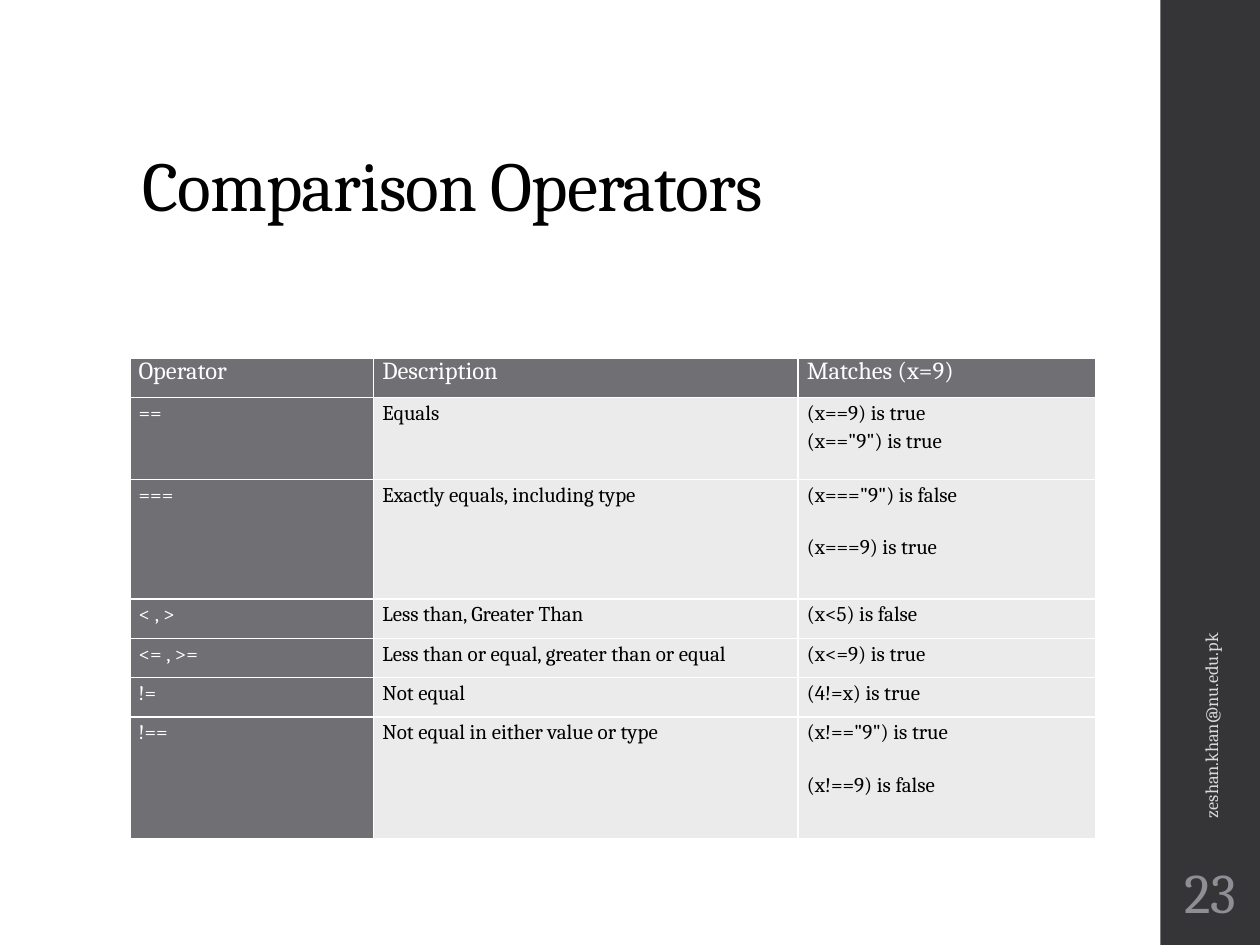
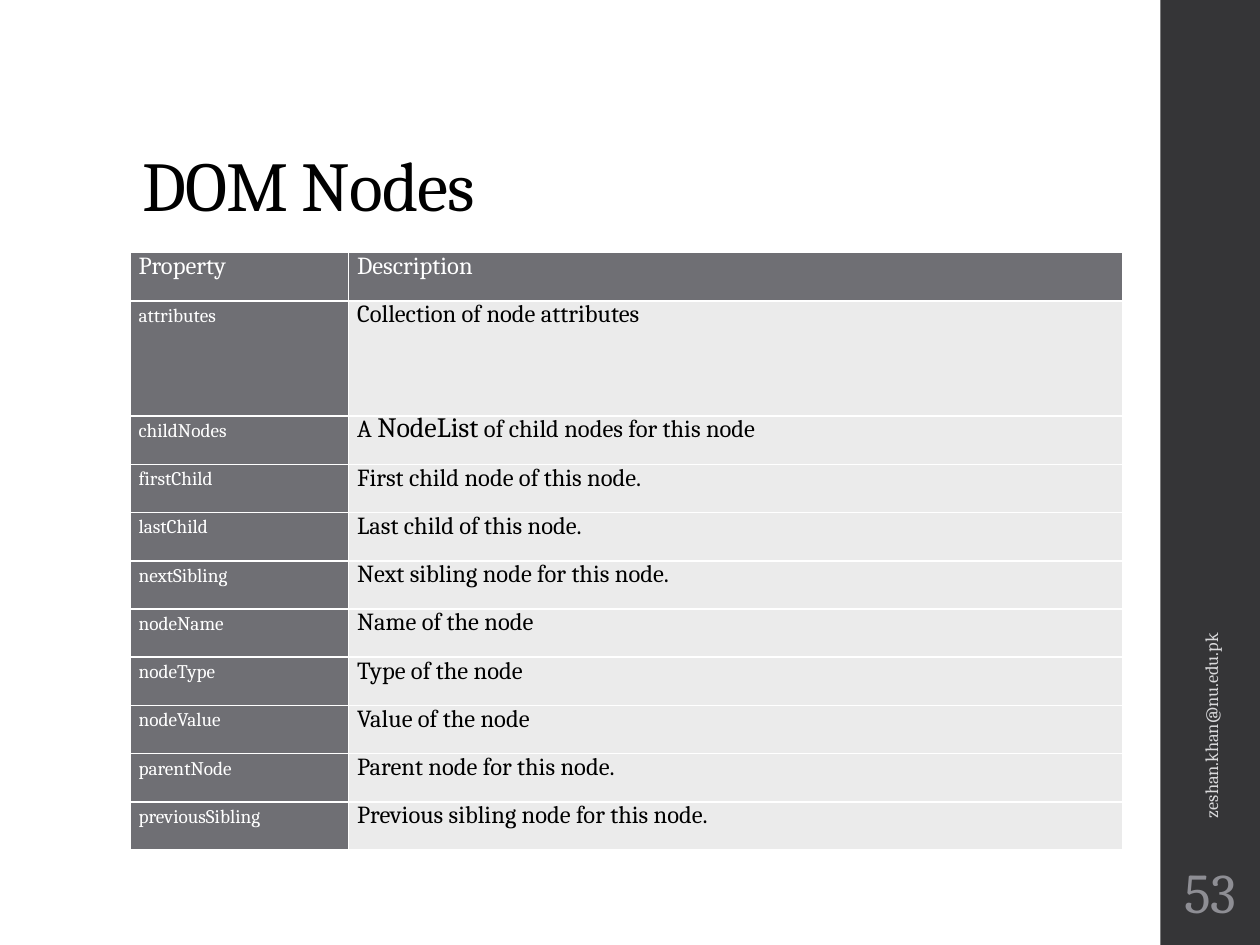
from dataclasses import dataclass

from lxml.etree import SubElement
from pptx import Presentation
from pptx.dml.color import RGBColor
from pptx.enum.shapes import MSO_SHAPE
from pptx.enum.text import MSO_ANCHOR, MSO_AUTO_SIZE, PP_ALIGN
from pptx.oxml.ns import qn
from pptx.util import Inches, Pt


@dataclass(frozen=True)
class Theme:
    font: str = "Cambria"
    # Colours
    white: str = "FFFFFF"
    black: str = "000000"
    band: str = "353537"
    header: str = "6F6F74"
    body: str = "EBEBEB"
    footer: str = "D9D9DB"
    number: str = "8E8E94"
    # Type sizes in points
    title_size: float = 40
    number_size: float = 32
    footer_size: float = 10.5
    header_size: float = 14
    # Table measures in points
    line_height: float = 16
    paragraph_gap: float = 14
    border: float = 1


class Deck:
    """Holds the theme and the current slide, on a grid of 100 columns by 75 rows."""

    columns, rows = 100, 75

    def __init__(self, theme):
        self.theme = theme
        self.presentation = Presentation()
        self.presentation.slide_width = Inches(10)
        self.presentation.slide_height = Inches(7.5)
        self.slide = None

    def across(self, count):
        return round(self.presentation.slide_width * count / self.columns)

    def down(self, count):
        return round(self.presentation.slide_height * count / self.rows)

    def area(self, left, top, width, height):
        return self.across(left), self.down(top), self.across(width), self.down(height)

    def format_runs(self, paragraph, size, color):
        for run in paragraph.runs:
            run.font.name = self.theme.font
            run.font.size = Pt(size)
            run.font.bold = False
            run.font.color.rgb = RGBColor.from_string(color)

    def add_slide(self, title, number):
        layout = self.presentation.slide_layouts.get_by_name("Title Only")
        self.slide = self.presentation.slides.add_slide(layout)
        self.band()
        self.title(title)
        self.footer("zeshan.khan@nu.edu.pk")
        self.number(number)

    def band(self):
        band = self.slide.shapes.add_shape(
            MSO_SHAPE.RECTANGLE, *self.area(92.1, 0, 7.9, self.rows))
        band.shadow.inherit = False
        band.fill.solid()
        band.fill.fore_color.rgb = RGBColor.from_string(self.theme.band)
        band.line.fill.background()

    def title(self, text):
        title = self.slide.shapes.title
        title.left, title.top, title.width, title.height = self.area(10.3, 4, 79.5, 14.5)
        frame = title.text_frame
        frame.text = text
        frame.auto_size = MSO_AUTO_SIZE.NONE
        frame.vertical_anchor = MSO_ANCHOR.BOTTOM
        paragraph = frame.paragraphs[0]
        paragraph.alignment = PP_ALIGN.LEFT
        paragraph.line_spacing = 0.9
        self.format_runs(paragraph, self.theme.title_size, self.theme.black)
        # Tighten the letter spacing by half a point
        paragraph.runs[0].font._element.set("spc", "-50")

    def text(self, text, area, size, color, alignment=PP_ALIGN.LEFT):
        box = self.slide.shapes.add_textbox(*self.area(*area))
        frame = box.text_frame
        frame.text = text
        frame.word_wrap = True
        frame.vertical_anchor = MSO_ANCHOR.MIDDLE
        frame.paragraphs[0].alignment = alignment
        self.format_runs(frame.paragraphs[0], size, color)
        return box

    def footer(self, text):
        box = self.text(text, (76.5, 44.8, 39.2, 3),
                        self.theme.footer_size, self.theme.footer)
        box.rotation = 270

    def number(self, number):
        box = self.text(str(number), (92.3, 67.5, 7.5, 6.5),
                        self.theme.number_size, self.theme.number, PP_ALIGN.CENTER)
        box.text_frame.margin_left = box.text_frame.margin_right = Inches(0.03)

    def table(self, top, widths, heights, records, label_style, body_size):
        """Draw a table; label_style is the size and line height of the first column."""
        theme = self.theme
        frame = self.slide.shapes.add_table(
            len(records), len(widths),
            *self.area(10.3, top, sum(widths), sum(heights)))
        table = frame.table
        table.horz_banding = False
        for column, width in zip(table.columns, widths):
            column.width = self.across(width)
        for row, height in zip(table.rows, heights):
            row.height = self.down(height)
        for row_index, record in enumerate(records):
            for column_index, text in enumerate(record):
                cell = table.cell(row_index, column_index)
                if row_index == 0:
                    style = theme.header_size, theme.line_height, theme.white, theme.header
                elif column_index == 0:
                    style = *label_style, theme.white, theme.header
                else:
                    style = body_size, theme.line_height, theme.black, theme.body
                self.cell(cell, text, *style)
        return table

    def cell(self, cell, text, size, line_height, color, fill):
        cell.margin_left = cell.margin_right = Inches(0.07)
        cell.margin_top = cell.margin_bottom = 0
        self.borders(cell)
        cell.fill.solid()
        cell.fill.fore_color.rgb = RGBColor.from_string(fill)
        cell.text_frame.text = text
        for index, paragraph in enumerate(cell.text_frame.paragraphs):
            paragraph.line_spacing = Pt(line_height)
            if index:
                paragraph.space_before = Pt(self.theme.paragraph_gap)
            self.format_runs(paragraph, size, color)

    def borders(self, cell):
        properties = cell._tc.get_or_add_tcPr()
        for side in ("a:lnL", "a:lnR", "a:lnT", "a:lnB"):
            line = SubElement(properties, qn(side), w=str(Pt(self.theme.border)))
            fill = SubElement(line, qn("a:solidFill"))
            SubElement(fill, qn("a:srgbClr"), val=self.theme.white)

    def enlarge(self, cell, word, size):
        """Split the cell's only run around a word and give that word its own size."""
        paragraph = cell.text_frame.paragraphs[0]
        run = paragraph.runs[0]
        base_size = run.font.size.pt
        before, _, after = run.text.partition(word)
        run.text = before
        for part in (word, after):
            paragraph.add_run().text = part
        self.format_runs(paragraph, base_size, self.theme.black)
        paragraph.runs[1].font.size = Pt(size)


# A line feed starts a paragraph, a vertical tab breaks the line
OPERATORS = [
    ("Operator", "Description", "Matches (x=9)"),
    ("==", "Equals", '(x==9) is true\v(x=="9") is true'),
    ("===", "Exactly equals, including type", '(x==="9") is false\n(x===9) is true'),
    ("< , >", "Less than, Greater Than", "(x<5) is false"),
    ("<= , >=", "Less than or equal, greater than or equal", "(x<=9) is true"),
    ("!=", "Not equal", "(4!=x) is true"),
    ("!==", "Not equal in either value or type", '(x!=="9") is true\n(x!==9) is false'),
]

NODE_PROPERTIES = [
    ("Property", "Description"),
    ("attributes", "Collection of node attributes"),
    ("childNodes", "A NodeList of child nodes for this node"),
    ("firstChild", "First child node of this node."),
    ("lastChild", "Last child of this node."),
    ("nextSibling", "Next sibling node for this node."),
    ("nodeName", "Name of the node"),
    ("nodeType", "Type of the node"),
    ("nodeValue", "Value of the node"),
    ("parentNode", "Parent node for this node."),
    ("previousSibling", "Previous sibling node for this node."),
]


def main():
    deck = Deck(Theme())

    # Comparison operators
    deck.add_slide("Comparison Operators", 23)
    deck.table(28.4, (19.35, 33.7, 23.6), (3.15, 6.5, 9.5, 3.12, 3.12, 3.12, 9.7),
               OPERATORS, label_style=(12, 16), body_size=12)

    # DOM node properties
    deck.add_slide("DOM Nodes", 53)
    row_height = 3.83
    heights = [row_height, 9.15] + [row_height] * (len(NODE_PROPERTIES) - 2)
    table = deck.table(20.05, (17.35, 61.45), heights, NODE_PROPERTIES,
                       label_style=(11, 15), body_size=14)
    deck.enlarge(table.cell(2, 1), "NodeList", 16)

    deck.presentation.save("out.pptx")


if __name__ == "__main__":
    main()
